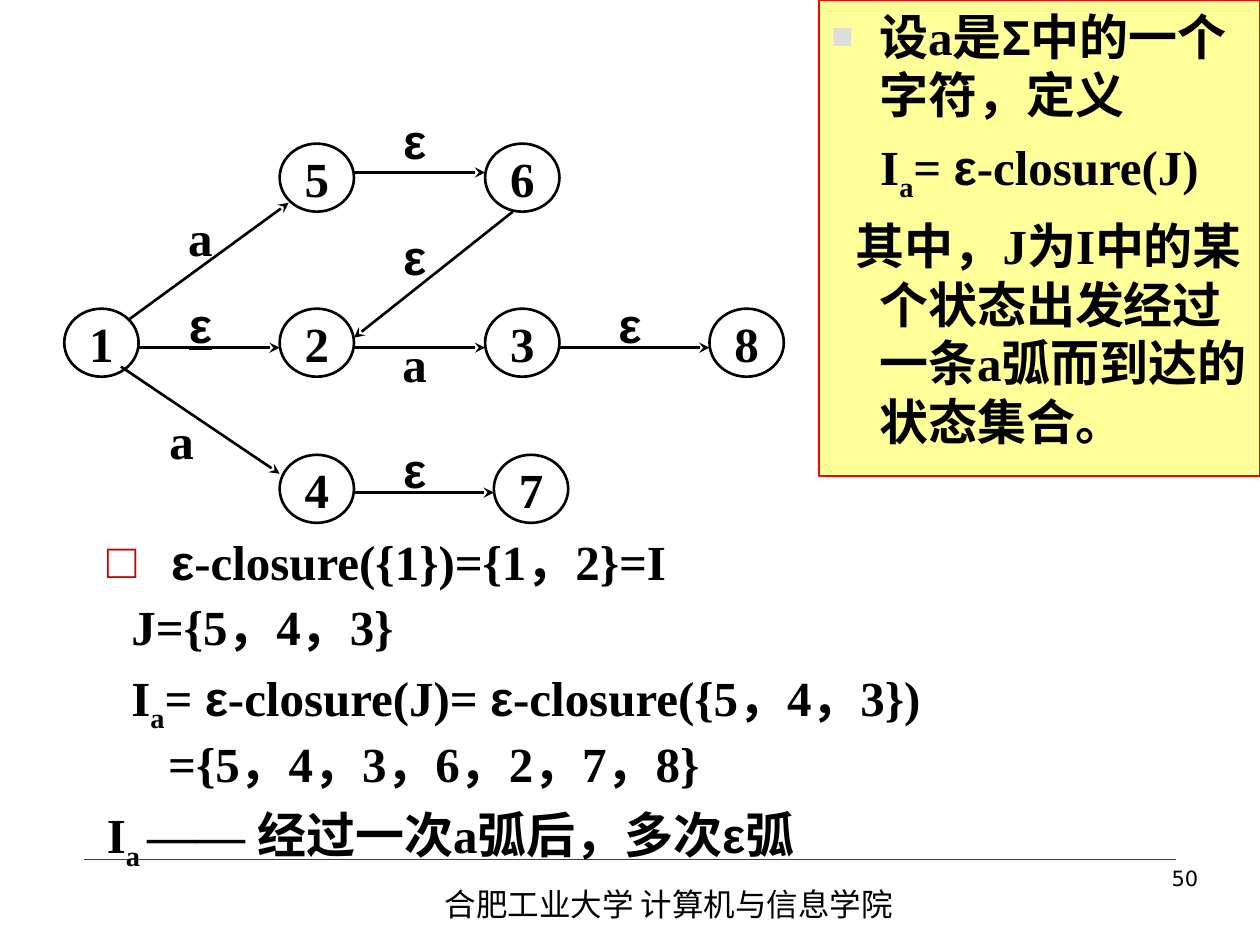
import pptx
import pptx.util
import pptx.dml.color
import pptx.enum.shapes
import pptx.enum.text
import pptx.oxml
import pptx.oxml.ns

Pt = pptx.util.Pt
KIND = pptx.enum.shapes.MSO_SHAPE
LEFT, MID, RIGHT = (getattr(pptx.enum.text.PP_ALIGN, n) for n in ("LEFT", "CENTER", "RIGHT"))

THEME = {
    "ink": "000000", "rule": "CC0000", "mark": "DDDDDD",
    "paper": "FFFF99", "edge": "FF0000",
    "latin": "Times New Roman", "greek": "Arial",
    "asian": "Noto Sans CJK SC", "digit": "DejaVu Sans",
    "main": 28, "foot": 18, "page": 12,
}

# A run is (text, style); a style names a font, or "sub" for a subscript.
EPS = ("ε", "greek")
SUB = ("a", "sub")


def say(text):
    return (text, "latin")


# Paragraphs: runs, alignment, left margin, first-line indent, bullet
BODY = [
    ([EPS, say("-closure({1})={1，2}=I")], LEFT, 36.7, -36.7, ("□", "rule", 100)),
    ([say("J={5，4，3}")], LEFT, 14, 0, None),
    ([say("I"), SUB, say("= "), EPS, say("-closure(J)= "), EPS,
      say("-closure({5，4，3})")], LEFT, 14, 0, None),
    ([say("={5，4，3，6，2，7，8}")], LEFT, 35, 0, None),
    ([say("I"), ("a ", "sub"), say("—— 经过一次a弧后，多次"), EPS, say("弧")],
     LEFT, 0, 0, None),
]
NOTE = [
    ([say("设a是"), ("Σ", "greek"), say("中的一个字符，定义")],
     LEFT, 27.4, -27.4, ("■", "mark", 75)),
    ([say("I"), SUB, say("= "), EPS, say("-closure(J)")], MID, 27.4, -27.4, None),
    ([say("其中，J为I中的某个状态出发经过一条a弧而到达的状态集合。")],
     LEFT, 27.4, -13.4, None),
]
FOOT = [([("合肥工业大学 计算机与信息学院", "asian")], LEFT, 0, 0, None)]
PAGE = [([("50", "digit")], RIGHT, 0, 0, None)]

NODE_W, NODE_H, LABEL_W = 42.5, 38.9, 59
TOP, CORE, BASE = 82.1, 176.4, 259.9
NODES = {
    "6": (277.2, TOP), "1": (36.7, CORE), "2": (159.8, CORE), "3": (277.2, CORE),
    "4": (159.8, BASE), "5": (159.8, TOP), "7": (282.2, BASE), "8": (405.4, CORE),
}
# Level arrows: from node, to node, height
LEVEL = [("5", "6", 98.6), ("1", "2", 198.7), ("2", "3", 198.7),
         ("3", "8", 198.7), ("4", "7", 281.5)]
SLANT = [(74.2, 182.2, 165, 115.9), (293, 121, 202.3, 193), (69.1, 209.5, 159.8, 270.7)]
# Labels: run, left, top, underlined
LABELS = [
    (say("a"), 207.4, 188, False), (EPS, 85, 165.6, True),
    (say("a"), 74.2, 231.8, False), (say("a"), 85, 115.9, False),
    (EPS, 330.5, 165.6, False), (EPS, 207.4, 126.7, False),
    (EPS, 207.4, 60.5, False), (EPS, 207.4, 248.4, False),
]


def tint(key):
    return pptx.dml.color.RGBColor.from_string(THEME[key])


def child(parent, tag, **attrs):
    node = pptx.oxml.parse_xml(f'<a:{tag} {pptx.oxml.ns.nsdecls("a")}/>')
    for key, value in attrs.items():
        node.set(key, str(value))
    parent.append(node)
    return node


def write(para, text, style, size):
    run = para.add_run()
    run.text = text
    font = run.font
    font.size, font.bold = Pt(THEME[size]), size == "main"
    font.name = THEME["latin" if style == "sub" else style]
    font.color.rgb = tint("ink")
    props = run._r.get_or_add_rPr()
    child(props, "ea", typeface=THEME["asian"])
    if style == "sub":
        props.set("baseline", "-25000")
    return run


def fill(shape, paras, size="main", lead=None, gap=7, wrap=True):
    frame = shape.text_frame
    frame.word_wrap = wrap
    for i, (runs, align, left, first, mark) in enumerate(paras):
        para = frame.add_paragraph() if i else frame.paragraphs[0]
        para.alignment = align
        props = para._p.get_or_add_pPr()
        props.set("marL", str(Pt(left)))
        props.set("indent", str(Pt(first)))
        if mark:
            sign, hue, scale = mark
            child(child(props, "buClr"), "srgbClr", val=THEME[hue])
            child(props, "buSzPct", val=scale * 1000)
            child(props, "buFont", typeface=THEME["greek"])
            child(props, "buChar", char=sign)
        else:
            child(props, "buNone")
        if lead:
            para.line_spacing = lead
        if i:
            para.space_before = Pt(gap)
        for text, style in runs:
            write(para, text, style, size)


def text_box(shapes, place, paras, **kind):
    box = shapes.add_textbox(*map(Pt, place))
    fill(box, paras, **kind)
    return box


def plain(shapes, kind, place, hue, width):
    shape = shapes.add_shape(kind, *map(Pt, place))
    shape.shadow.inherit = False
    shape.fill.background()
    shape.line.color.rgb, shape.line.width = tint(hue), Pt(width)
    return shape


def line(shapes, ends, hue, width, head=False):
    link = shapes.add_connector(pptx.enum.shapes.MSO_CONNECTOR.STRAIGHT, *map(Pt, ends))
    link.line.color.rgb, link.line.width = tint(hue), Pt(width)
    if head:
        child(link.line._get_or_add_ln(), "tailEnd", type="stealth")
    child(link._element.spPr, "effectLst")


def center(shape, run):
    fill(shape, [([run], MID, 0, 0, None)], wrap=False)
    shape.text_frame.vertical_anchor = pptx.enum.text.MSO_ANCHOR.MIDDLE


def graph(shapes):
    for name, spot in NODES.items():
        center(plain(shapes, KIND.OVAL, (*spot, NODE_W, NODE_H), "ink", 1.5), say(name))
    level = [(NODES[a][0] + NODE_W, y, NODES[b][0], y) for a, b, y in LEVEL]
    for ends in level + SLANT:
        line(shapes, ends, "ink", 1.5, head=True)
    for run, x, y, under in LABELS:
        box = shapes.add_textbox(*map(Pt, (x, y, LABEL_W, NODE_H)))
        center(box, run)
        box.text_frame.paragraphs[0].runs[0].font.underline = under


def main():
    deck = pptx.Presentation()
    deck.slide_width, deck.slide_height = Pt(720), Pt(540)
    shapes = deck.slides.add_slide(deck.slide_layouts[6]).shapes
    line(shapes, (48, 491, 672, 491), "rule", 0.25)
    text_box(shapes, (247, 502, 340, 29), FOOT, size="foot")
    text_box(shapes, (535.7, 491, 156.2, 37.4), PAGE, size="page")
    text_box(shapes, (54, 303.8, 638, 198.7), BODY, lead=0.9)
    graph(shapes.add_group_shape().shapes)
    note = plain(shapes, KIND.RECTANGLE, (468, 0, 252, 272), "edge", 0.75)
    note.fill.solid()
    note.fill.fore_color.rgb = tint("paper")
    note.text_frame.vertical_anchor = pptx.enum.text.MSO_ANCHOR.TOP
    fill(note, NOTE)
    deck.save("out.pptx")


if __name__ == "__main__":
    main()
